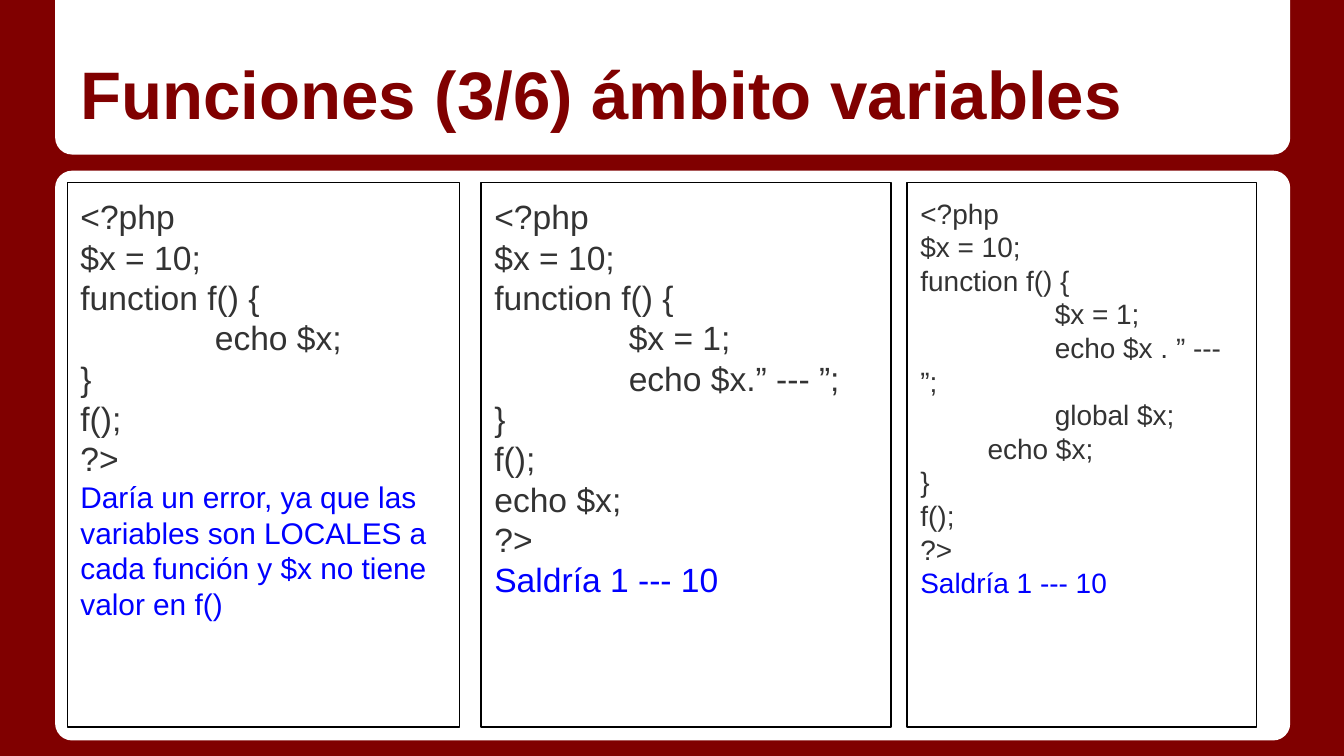
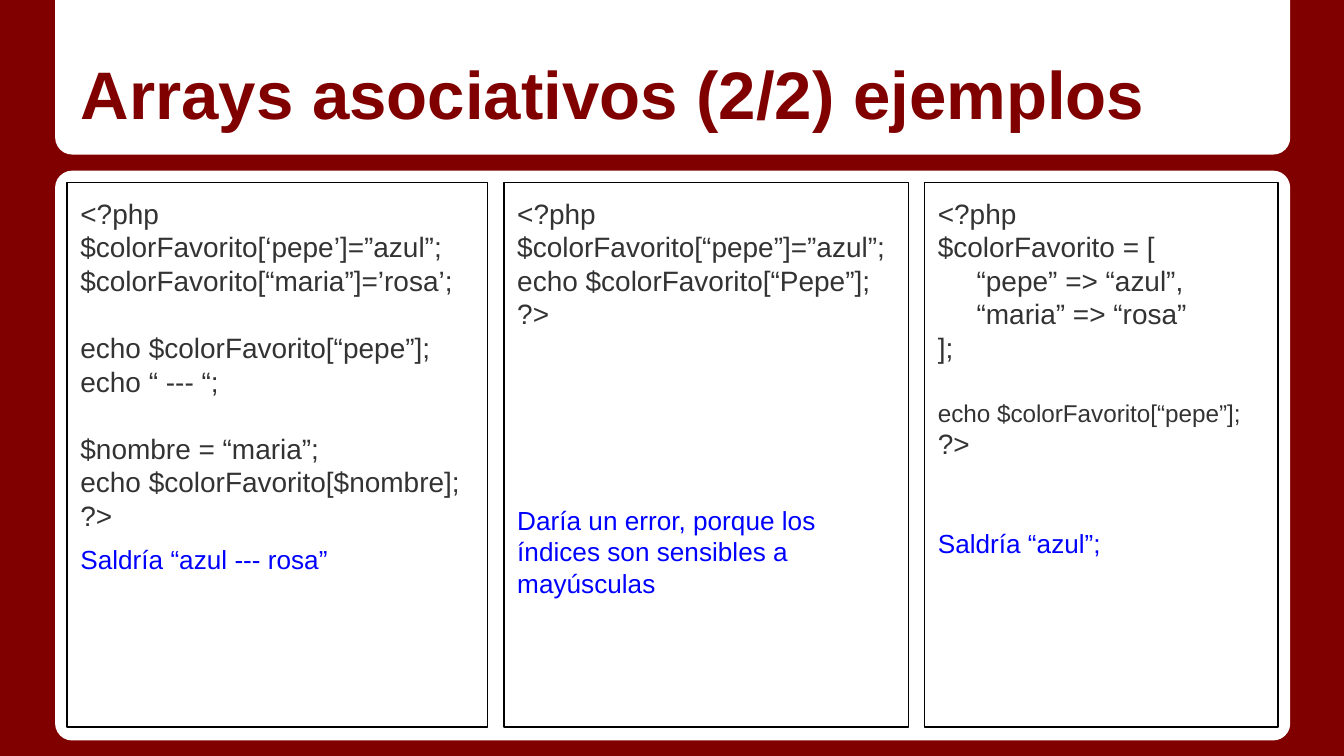
"""Builds two slides on PHP variable scope and associative arrays."""
from dataclasses import dataclass

from lxml.etree import SubElement
from pptx import Presentation
from pptx.dml.color import RGBColor
from pptx.enum.shapes import MSO_SHAPE as Preset
from pptx.enum.text import MSO_ANCHOR as Anchor, MSO_AUTO_SIZE as AutoSize, PP_ALIGN as Align
from pptx.oxml.ns import qn
from pptx.util import Inches, Pt

COLORS = {"maroon": "800000", "panel": "FFFFFF", "code": "333333",
          "answer": "0000FF", "border": "000000"}
FONT = "Arial"
WIDTH = 10
HEIGHT = WIDTH * 9 / 16
PANEL_LEFT, PANEL_WIDTH = 0.41, 9.19
BOX_TOP, BOX_HEIGHT = 1.36, 4.05
INSET, TAB = 0.1, 1
BLANK_LINE = 18


@dataclass
class Line:
    text: str
    size: float = 0
    color: str = "code"
    before: float = 0
    indent: float = 0


def answer(text, size, before=0):
    return Line(text, size, "answer", before)


SLIDES = [
    ("Funciones (3/6) ámbito variables", [
        (0.5, 2.92, 18, [
            "<?php", "$x = 10;", "function f() {", "\techo $x;", "}", "f();", "?>",
            answer("Daría un error, ya que las variables son LOCALES a cada función "
                   "y $x no tiene valor en f()", 16)]),
        (6.75, 2.6, 15, [
            "<?php", "$x = 10;", "function f() {", "\t$x = 1;", "\techo $x . ” --- ”;",
            "\tglobal $x;", Line("echo $x;", indent=0.5), "}", "f();", "?>",
            answer("Saldría 1 --- 10", 15)]),
        (3.58, 3.05, 18, [
            "<?php", "$x = 10;", "function f() {", "\t$x = 1;", "\techo $x.” --- ”;",
            "}", "f();", "echo $x;", "?>",
            answer("Saldría 1 --- 10", 18)]),
    ]),
    ("Arrays asociativos (2/2) ejemplos", [
        (0.5, 3.13, 15, [
            "<?php", "$colorFavorito[‘pepe’]=”azul”;", "$colorFavorito[“maria”]=’rosa’;",
            Line("echo $colorFavorito[“pepe”];", before=BLANK_LINE), "echo “ --- “;",
            Line("$nombre = “maria”;", before=BLANK_LINE),
            "echo $colorFavorito[$nombre];", "?>",
            answer("Saldría “azul --- rosa”", 14, 6)]),
        (3.75, 3.01, 15, [
            "<?php", "$colorFavorito[“pepe”]=”azul”;", "echo $colorFavorito[“Pepe”];", "?>",
            answer("Daría un error, porque los índices son sensibles a mayúsculas",
                   14, 5 * BLANK_LINE + 3)]),
        (6.88, 2.63, 15, [
            "<?php", "$colorFavorito = [", "     “pepe” => “azul”,",
            "     “maria” => “rosa”", "];",
            Line("echo $colorFavorito[“pepe”];", 13, before=BLANK_LINE), "?>",
            answer("Saldría “azul”;", 14, 2 * BLANK_LINE)]),
    ]),
]


def rgb(name):
    return RGBColor.from_string(COLORS[name])


def add_run(para, text, size, color, bold=False):
    span = para.add_run()
    span.text = text
    span.font.name = FONT
    span.font.size = Pt(size)
    span.font.bold = bold
    span.font.color.rgb = rgb(color)


def set_frame(frame, anchor):
    frame.word_wrap = True
    frame.auto_size = AutoSize.NONE
    frame.vertical_anchor = anchor
    frame.margin_left = frame.margin_right = Inches(INSET)
    frame.margin_top = frame.margin_bottom = Inches(INSET)


def add_panel(page, preset, top, height, adjustments, rotation=0):
    panel = page.shapes.add_shape(preset, Inches(PANEL_LEFT), Inches(top),
                                  Inches(PANEL_WIDTH), Inches(height))
    for index, value in enumerate(adjustments):
        panel.adjustments[index] = value
    panel.rotation = rotation
    panel.shadow.inherit = False
    panel.fill.solid()
    panel.fill.fore_color.rgb = rgb("panel")
    panel.line.fill.background()


def format_paragraph(para, line):
    properties = para._p.get_or_add_pPr()
    if line.before:
        para.space_before = Pt(line.before)
    if line.indent:
        properties.set("indent", str(Inches(line.indent)))
    if "\t" in line.text:
        tabs = SubElement(properties, qn("a:tabLst"))
        SubElement(tabs, qn("a:tab"), pos=str(Inches(TAB)), algn="l")


def add_code_box(page, left, width, size, lines):
    box = page.shapes.add_textbox(Inches(left), Inches(BOX_TOP), Inches(width), Inches(BOX_HEIGHT))
    box.line.color.rgb = rgb("border")
    box.line.width = Pt(0.75)
    frame = box.text_frame
    set_frame(frame, Anchor.TOP)
    for index, item in enumerate(lines):
        line = item if isinstance(item, Line) else Line(item)
        para = frame.add_paragraph() if index else frame.paragraphs[0]
        format_paragraph(para, line)
        add_run(para, line.text, line.size or size, line.color)


def add_page(deck, heading, boxes):
    page = deck.slides.add_slide(deck.slide_layouts[5])
    add_panel(page, Preset.ROUNDED_RECTANGLE, 1.27, 4.24, [0.03])
    add_panel(page, Preset.ROUND_2_SAME_RECTANGLE, 0, 1.15, [0.11, 0], 180)
    title = page.shapes.title
    page.shapes._spTree.append(title._element)
    title.left, title.top = Inches(0.5), Inches(0.15)
    title.width, title.height = Inches(9), Inches(0.94)
    set_frame(title.text_frame, Anchor.BOTTOM)
    para = title.text_frame.paragraphs[0]
    para.alignment = Align.LEFT
    add_run(para, heading, 36, "maroon", True)
    for box in boxes:
        add_code_box(page, *box)


def main():
    deck = Presentation()
    deck.slide_width, deck.slide_height = Inches(WIDTH), Inches(HEIGHT)
    backdrop = deck.slide_master.background.fill
    backdrop.solid()
    backdrop.fore_color.rgb = rgb("maroon")
    for heading, boxes in SLIDES:
        add_page(deck, heading, boxes)
    deck.save("out.pptx")


if __name__ == "__main__":
    main()
